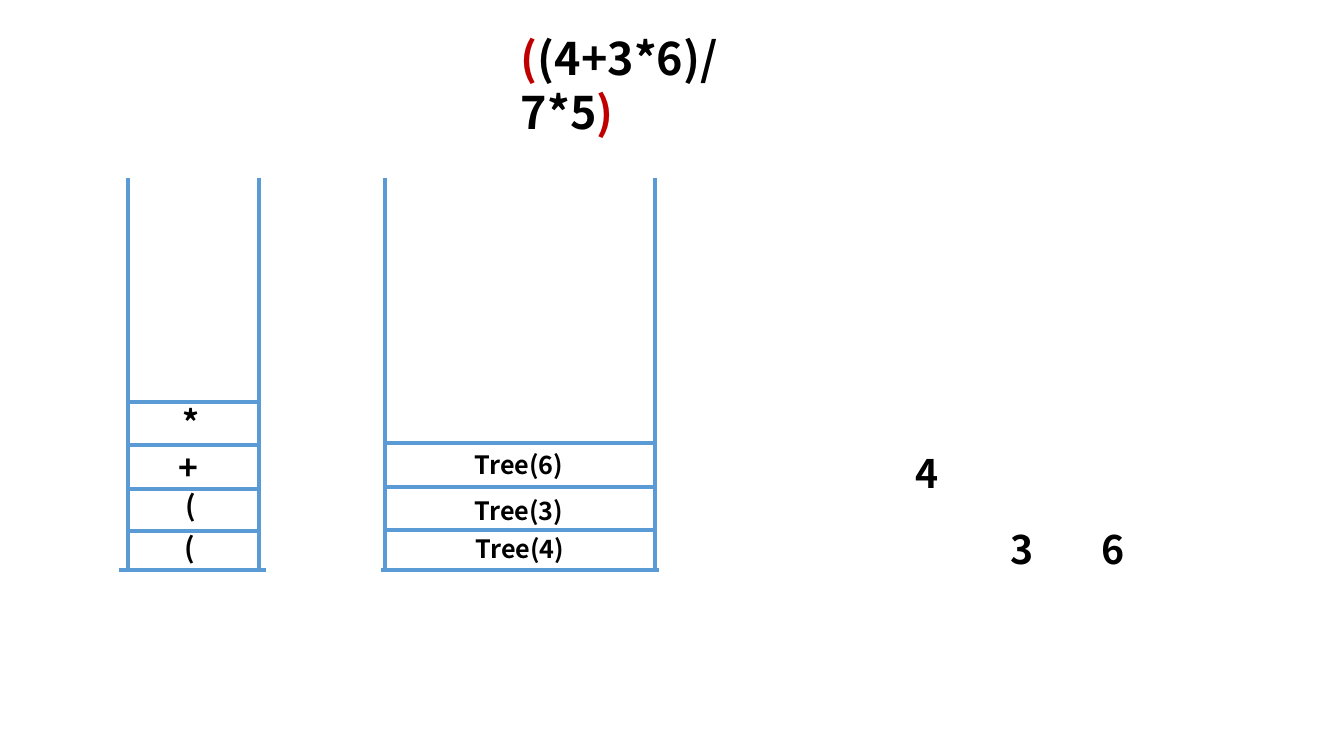
from pptx import Presentation
from pptx.dml.color import RGBColor
from pptx.enum.shapes import MSO_CONNECTOR
from pptx.enum.text import MSO_AUTO_SIZE
from pptx.oxml.ns import qn
from pptx.util import Emu, Pt
from lxml.etree import SubElement

PIXEL = 914400 / 100.8
FONT = "Noto Sans CJK SC"
BLUE, BLACK, RED = "5B9BD5", "000000", "C00000"
STACK_TOP, STACK_BOTTOM = 178, 570

# Title: text and colour of each run
EXPRESSION = [("(", RED), ("(4+3*6)/7*5", BLACK), (")", RED)]

# Walls and base as (left, right); dividers as (left, right, y)
# Entries from the bottom up as (text, left, top, width, height, points)
STACKS = [
    {"walls": (128, 259), "base": (119, 266),
     "dividers": [(128, 259, 531), (127, 258, 489), (130, 261, 445), (127, 258, 402)],
     "entries": [("(", 175, 526, 42, 43, 20), ("(", 176, 484, 42, 43, 20),
                 ("+", 169, 442, 42, 50, 24), ("*", 173, 397, 44, 50, 24)]},
    {"walls": (385, 655), "base": (381, 659),
     "dividers": [(383, 656, 530), (383, 656, 487), (384, 657, 443)],
     "entries": [("Tree(4)", 466, 528, 117, 40, 18), ("Tree(3)", 465, 490, 117, 40, 18),
                 ("Tree(6)", 465, 444, 117, 40, 18)]},
]

# Tree nodes: text, left, top
NODES = [("4", 906, 444), ("3", 1001, 520), ("6", 1092, 520)]


def px(value):
    """Turn pixels into EMU."""
    return Emu(round(value * PIXEL))


def rgb(colour):
    """Turn a hex string into a colour."""
    return RGBColor.from_string(colour)


def add_line(slide, x1, y1, x2, y2, points):
    """Draw a blue line without a shadow."""
    line = slide.shapes.add_connector(MSO_CONNECTOR.STRAIGHT, px(x1), px(y1), px(x2), px(y2))
    line.line.color.rgb = rgb(BLUE)
    line.line.width = Pt(points)
    SubElement(line._element.spPr, qn("a:effectLst"))


def add_text(slide, runs, left, top, width, height, points):
    """Add a bold text box made of (text, colour) runs."""
    box = slide.shapes.add_textbox(px(left), px(top), px(width), px(height))
    box.text_frame.word_wrap = True
    box.text_frame.auto_size = MSO_AUTO_SIZE.SHAPE_TO_FIT_TEXT
    paragraph = box.text_frame.paragraphs[0]
    for text, colour in runs:
        run = paragraph.add_run()
        run.text = text
        run.font.name = FONT
        run.font.size = Pt(points)
        run.font.bold = True
        run.font.color.rgb = rgb(colour)
        east_asian = SubElement(run.font._element, qn("a:ea"))
        east_asian.set("typeface", FONT)


def add_stack(slide, stack):
    """Draw an open-topped stack with its dividers and entries."""
    for x in stack["walls"]:
        add_line(slide, x, STACK_TOP, x, STACK_BOTTOM, 3)
    left, right = stack["base"]
    add_line(slide, left, STACK_BOTTOM, right, STACK_BOTTOM, 3)
    for left, right, y in stack["dividers"]:
        add_line(slide, left, y, right, y, 2.25)
    for text, *place in stack["entries"]:
        add_text(slide, [(text, BLACK)], *place)


presentation = Presentation()
presentation.slide_width, presentation.slide_height = px(1344), px(756)
slide = presentation.slides.add_slide(presentation.slide_layouts[6])
for stack in STACKS:
    add_stack(slide, stack)
for text, left, top in NODES:
    add_text(slide, [(text, BLACK)], left, top, 50, 57, 28)
add_text(slide, EXPRESSION, 511, 26, 291, 65, 32)
presentation.save("out.pptx")
